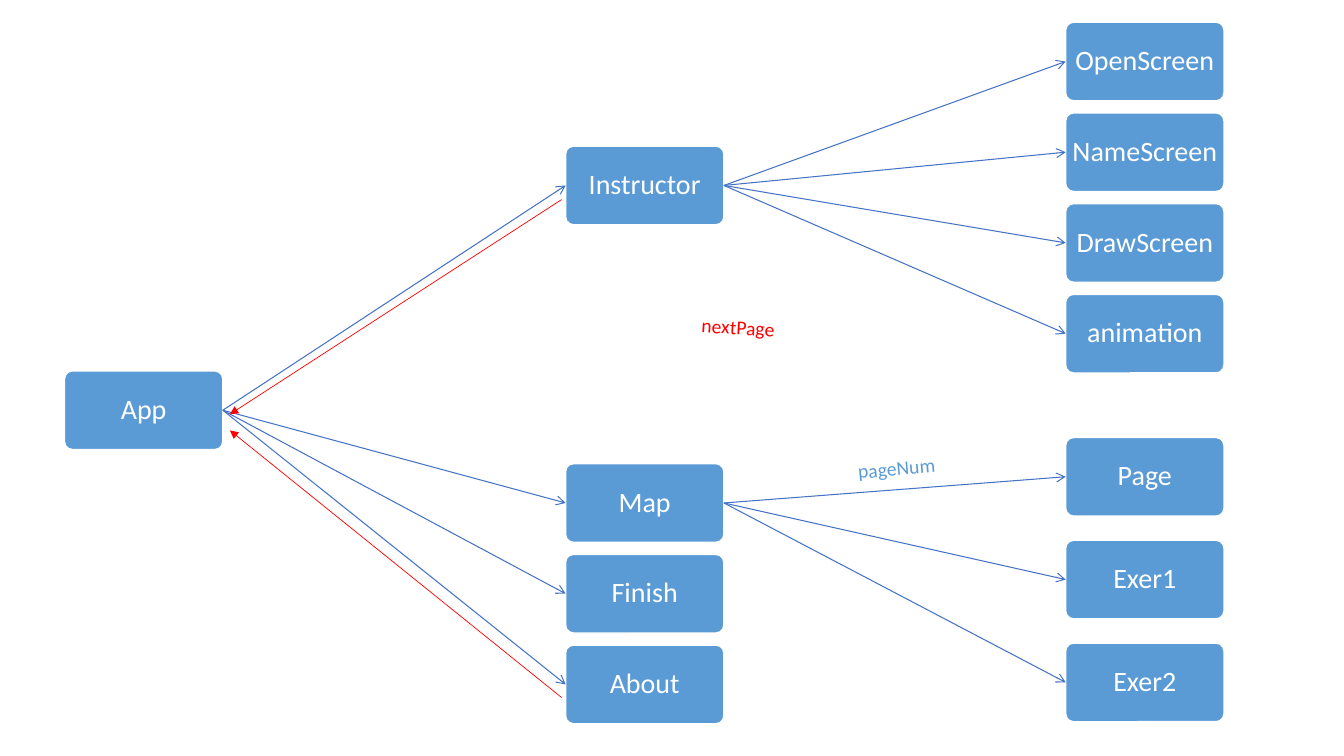
from lxml.etree import SubElement
from pptx import Presentation
from pptx.dml.color import RGBColor
from pptx.enum.shapes import MSO_CONNECTOR, MSO_SHAPE
from pptx.enum.text import MSO_ANCHOR, PP_ALIGN
from pptx.oxml.ns import qn
from pptx.util import Inches, Pt

WHITE = RGBColor(0xFF, 0xFF, 0xFF)
BOX_BLUE = RGBColor(0x5B, 0x9B, 0xD5)
LINK_BLUE = RGBColor(0x44, 0x72, 0xC4)
RED = RGBColor(0xFF, 0x00, 0x00)

BOX_WIDTH, BOX_HEIGHT = 1.57, 0.78
LEFT_SITE, RIGHT_SITE = 1, 3  # connection sites of a rounded rectangle


class TreeSlide:
    font_name = "Calibri"

    def __init__(self, slide):
        self.shapes = slide.shapes

    def style_text(self, paragraph, text, size, color):
        paragraph.text = text
        paragraph.font.name = self.font_name
        paragraph.font.size = Pt(size)
        paragraph.font.color.rgb = color

    def box(self, text, left, top):
        box = self.shapes.add_shape(
            MSO_SHAPE.ROUNDED_RECTANGLE, Inches(left), Inches(top),
            Inches(BOX_WIDTH), Inches(BOX_HEIGHT))
        box.adjustments[0] = 0.1
        box.shadow.inherit = False
        box.fill.solid()
        box.fill.fore_color.rgb = BOX_BLUE
        box.line.color.rgb = WHITE
        box.line.width = Pt(1)
        frame = box.text_frame
        frame.margin_left = frame.margin_right = Inches(0.01)
        frame.margin_top = frame.margin_bottom = Inches(0.01)
        frame.word_wrap = True
        frame.vertical_anchor = MSO_ANCHOR.MIDDLE
        paragraph = frame.paragraphs[0]
        paragraph.alignment = PP_ALIGN.CENTER
        paragraph.line_spacing = 0.9
        self.style_text(paragraph, text, 20, WHITE)
        return box

    def arrow(self, start, end, color, width, head):
        arrow = self.shapes.add_connector(
            MSO_CONNECTOR.STRAIGHT, *map(Inches, (*start, *end)))
        arrow.line.color.rgb = color
        arrow.line.width = Pt(width)
        SubElement(arrow.line._get_or_add_ln(), qn("a:tailEnd"), type=head)
        SubElement(arrow._element.spPr, qn("a:effectLst"))
        return arrow

    def link(self, parent, child):
        arrow = self.arrow((0, 0), (0, 0), LINK_BLUE, 0.75, "arrow")
        arrow.begin_connect(parent, RIGHT_SITE)
        arrow.end_connect(child, LEFT_SITE)

    def label(self, text, left, top, width, rotation, color):
        label = self.shapes.add_textbox(
            Inches(left), Inches(top), Inches(width), Inches(0.34))
        label.rotation = rotation
        label.text_frame.word_wrap = True
        self.style_text(label.text_frame.paragraphs[0], text, 14, color)


presentation = Presentation()
presentation.slide_width = Inches(13.33)
presentation.slide_height = Inches(7.5)
tree = TreeSlide(presentation.slides.add_slide(presentation.slide_layouts[6]))

# Component tree: name and top of each page, with its children
PAGE_LEFT, SCREEN_LEFT = 5.61, 10.57
ROW_STEP = 0.9
SCREENS = ["OpenScreen", "NameScreen", "DrawScreen", "animation"]
EXERCISES = ["Page", "Exer1", "Exer2"]
PAGES = [
    ("Instructor", 1.45,
     [(name, 0.22 + i * ROW_STEP) for i, name in enumerate(SCREENS)]),
    ("Map", 4.6,
     [(name, 4.34 + i * 1.02) for i, name in enumerate(EXERCISES)]),
    ("Finish", 4.6 + ROW_STEP, []),
    ("About", 4.6 + 2 * ROW_STEP, []),
]

app = tree.box("App", 0.64, 3.68)
for page_name, page_top, screens in PAGES:
    page = tree.box(page_name, PAGE_LEFT, page_top)
    tree.link(app, page)
    for screen_name, screen_top in screens:
        tree.link(page, tree.box(screen_name, SCREEN_LEFT, screen_top))

# Return arrows to App
for page_y, app_y in [(1.98, 4.11), (6.92, 4.27)]:
    tree.arrow((5.57, page_y), (2.28, app_y), RED, 0.5, "triangle")

# Labels of the passed values
tree.label("pageNum", 8.41, 4.47, 1.07, -5.1, BOX_BLUE)
tree.label("nextPage", 6.86, 3.08, 0.98, 3.5, RED)

presentation.save("out.pptx")
